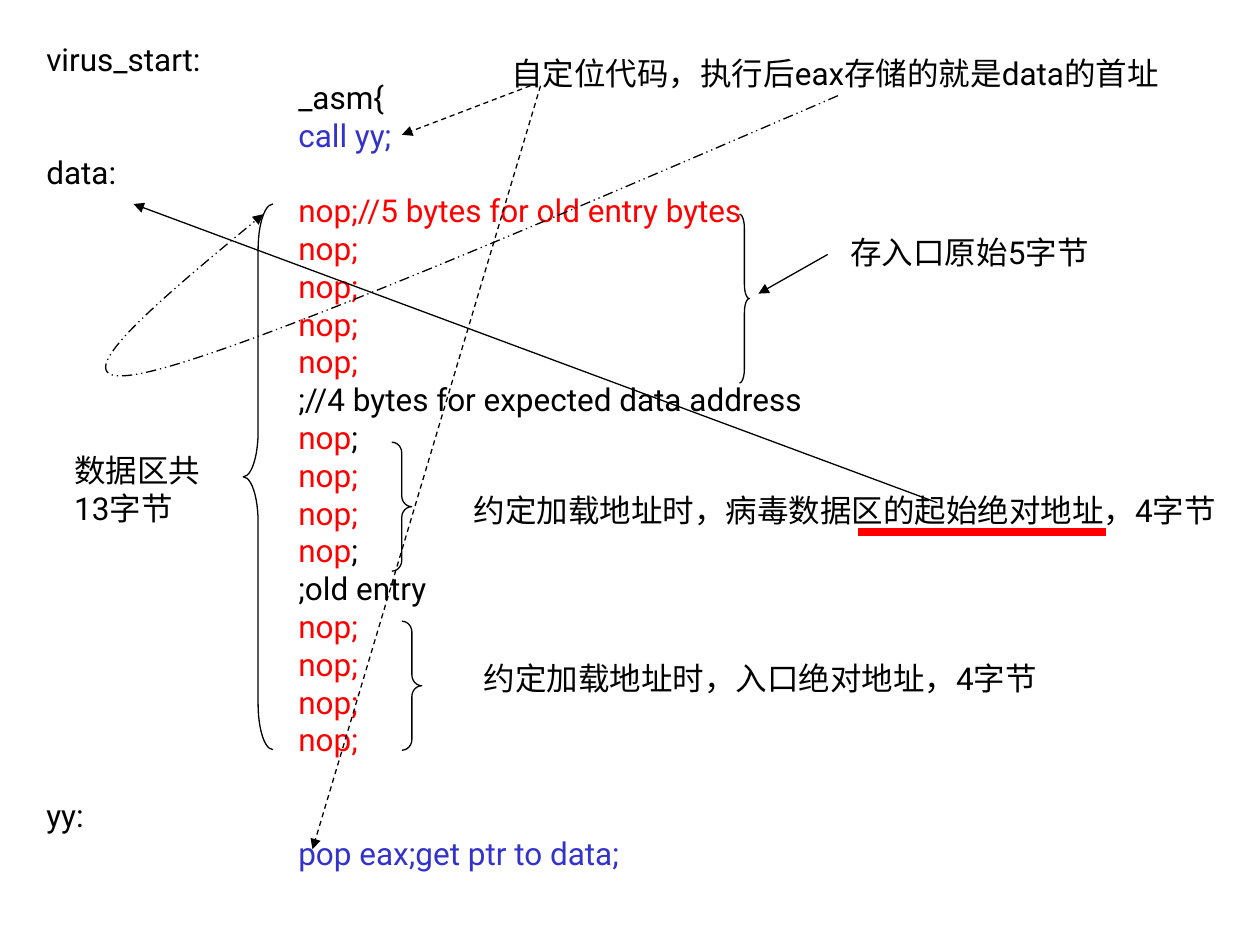
from lxml import etree
from pptx import Presentation
from pptx.dml.color import RGBColor
from pptx.enum.dml import MSO_LINE
from pptx.enum.shapes import MSO_CONNECTOR, MSO_SHAPE
from pptx.enum.text import MSO_AUTO_SIZE
from pptx.oxml.ns import qn
from pptx.util import Pt

STRAIGHT = MSO_CONNECTOR.STRAIGHT
LEFT, RIGHT = MSO_SHAPE.LEFT_BRACE, MSO_SHAPE.RIGHT_BRACE
DASH, DOTS = MSO_LINE.DASH, MSO_LINE.DASH_DOT_DOT
GROW = MSO_AUTO_SIZE.SHAPE_TO_FIT_TEXT
BLACK, RED, BLUE = "000000", "FF0000", "3333CC"
FONT = {"name": "Roboto", "size": Pt(18)}
INSET = {
    "margin_left": Pt(7.2), "margin_right": Pt(7.2),
    "margin_top": Pt(3.6), "margin_bottom": Pt(3.6),
}

NOP = [("\t\tnop;", RED)]
SPLIT = [("\t\tnop", RED), (";", BLACK)]
CODE = [
    [("virus_start:", BLACK)],
    [("\t\t_asm{", BLACK)],
    [("\t\tcall yy;", BLUE)],
    [("data:", BLACK)],
    [("\t\tnop;//5 bytes for old entry bytes", RED)],
    *[NOP] * 4,
    [("\t\t;//4 bytes for expected data address", BLACK)],
    SPLIT, NOP, NOP, SPLIT,
    [("\t\t;old entry", BLACK)],
    *[NOP] * 4,
    [("yy:", BLACK)],
    [("\t\tpop eax;get ptr to data;", BLUE)],
]
LABEL = "yy:"

NOTES = [
    ("存入口原始5字节", (478.8, 129.6, 159, 28.8), False),
    ("约定加载地址时，病毒数据区的起始绝对地址，4字节", (263.5, 277.2, 447, 28.8), False),
    ("约定加载地址时，入口绝对地址，4字节", (269.3, 373, 339, 28.8), False),
    ("数据区共13字节", (35.3, 254.2, 103.7, 50.4), True),
    ("自定位代码，执行后eax存储的就是data的首址", (285.1, 27.4, 404.6, 28.8), False),
]
BRACES = [
    (RIGHT, (422.6, 122.4, 5.6, 96.5)),
    (RIGHT, (223.9, 252.7, 11.4, 73.7)),
    (RIGHT, (229.7, 355, 11.4, 73.7)),
    (LEFT, (139, 116.6, 17, 311.8)),
]
ARROWS = [
    ((473, 145.4, 433.4, 167.8), None),
    ((535.7, 287.3, 76.3, 116.6), None),
    ((303.1, 49, 229.7, 77), DASH),
    ((308.9, 49, 178.6, 485.3), DASH),
]
CURVE = [
    (478.8, 54.7), (308.2, 128.2), (136.8, 201.6), (82.1, 213.1),
    (27.4, 224.6), (88.6, 173.5), (150.5, 122.4),
]


def tint(code):
    return RGBColor.from_string(code)


def apply(item, form):
    for key, value in form.items():
        setattr(item, key, value)


def lengths(nums):
    return [Pt(n) for n in nums]


def add_text(slide, box, rows, wrap):
    frame = slide.shapes.add_textbox(*lengths(box)).text_frame
    apply(frame, {**INSET, "word_wrap": wrap, "auto_size": GROW})
    for i, row in enumerate(rows):
        para = frame.add_paragraph() if i else frame.paragraphs[0]
        tabs = etree.SubElement(para._p.get_or_add_pPr(), qn("a:tabLst"))
        for n in range(8):
            etree.SubElement(tabs, qn("a:tab"), pos=str(Pt(72 * n)), algn="l")
        if row[0][0] == LABEL:
            para.space_before = Pt(21.6)
        for text, color in row:
            run = para.add_run()
            run.text = text
            apply(run.font, FONT)
            run.font.color.rgb = tint(color)


def stroke(shape, color=BLACK, width=0.75, dash=None, arrow=False):
    shape.line.color.rgb = tint(color)
    apply(shape.line, {"width": Pt(width), "dash_style": dash})
    if arrow:
        line = shape.element.xpath(".//a:ln")[0]
        etree.SubElement(line, qn("a:tailEnd"), type="triangle")


def add_line(slide, ends, **form):
    line = slide.shapes.add_connector(STRAIGHT, *lengths(ends))
    stroke(line, **form)
    etree.SubElement(line.element.spPr, qn("a:effectLst"))


def add_brace(slide, kind, box):
    brace = slide.shapes.add_shape(kind, *lengths(box))
    brace.adjustments[0] = box[3] / 12 / box[2]
    brace.fill.background()
    stroke(brace)
    brace.shadow.inherit = False


def add_curve(slide, dots):
    first, *rest = [lengths(dot) for dot in dots]
    pen = slide.shapes.build_freeform(*first)
    pen.add_line_segments(rest, close=False)
    curve = pen.convert_to_shape()
    steps = curve.element.xpath(".//a:lnTo")
    for i in range(0, len(steps), 3):
        bend = etree.Element(qn("a:cubicBezTo"))
        steps[i].addprevious(bend)
        for step in steps[i:i + 3]:
            bend.append(step[0])
            step.getparent().remove(step)
    curve.fill.background()
    stroke(curve, dash=DOTS, arrow=True)
    curve.shadow.inherit = False


def main():
    deck = Presentation()
    apply(deck, {"slide_width": Pt(720), "slide_height": Pt(540)})
    slide = deck.slides.add_slide(deck.slide_layouts[6])
    add_text(slide, (19.4, 19.4, 521.3, 482.4), CODE, True)
    for text, box, wrap in NOTES:
        add_text(slide, box, [[(text, BLACK)]], wrap)
    for kind, box in BRACES:
        add_brace(slide, kind, box)
    add_line(slide, (490.3, 303.8, 632.2, 303.8), color=RED, width=4.5)
    for ends, dash in ARROWS:
        add_line(slide, ends, dash=dash, arrow=True)
    add_curve(slide, CURVE)
    deck.save("out.pptx")


if __name__ == "__main__":
    main()
